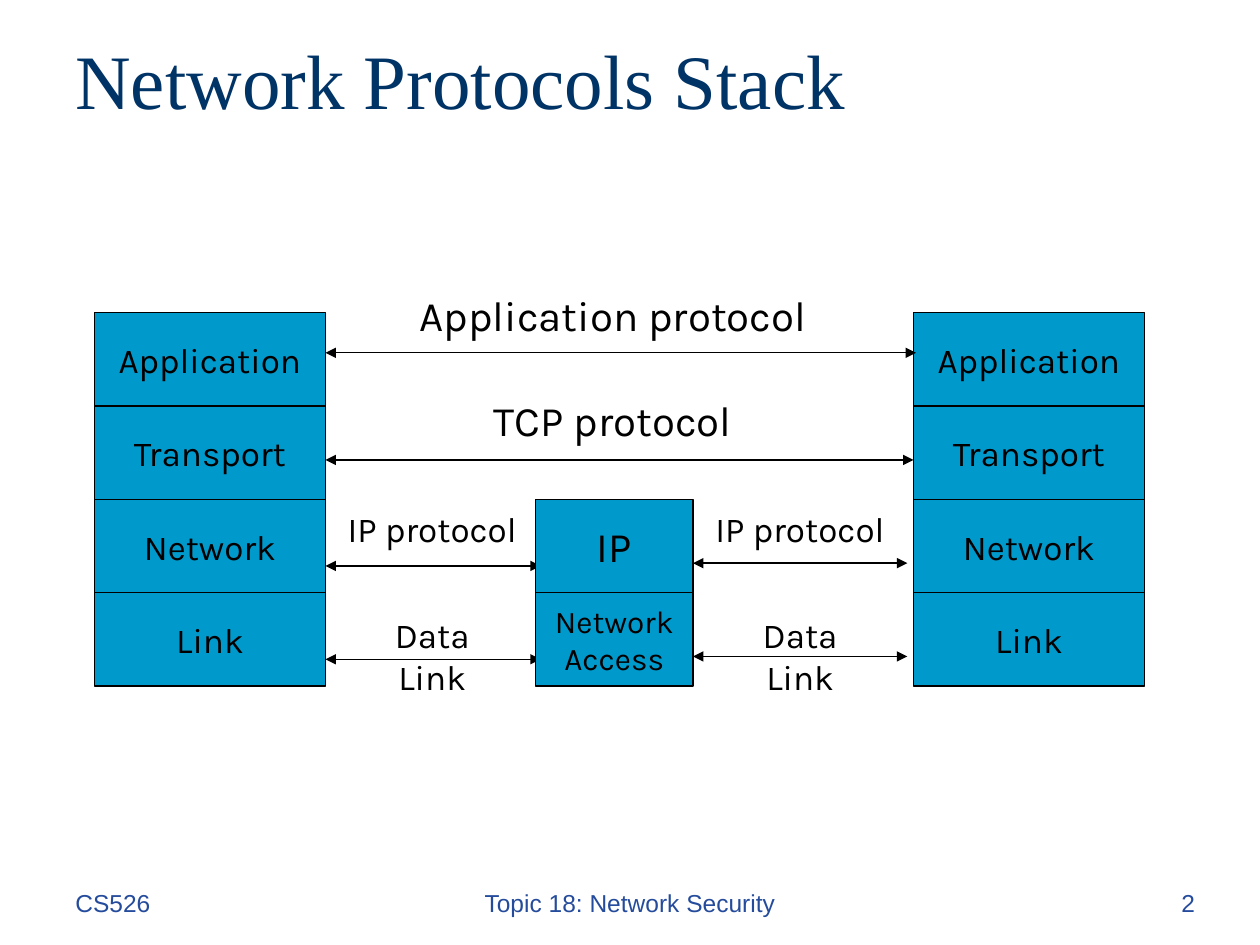
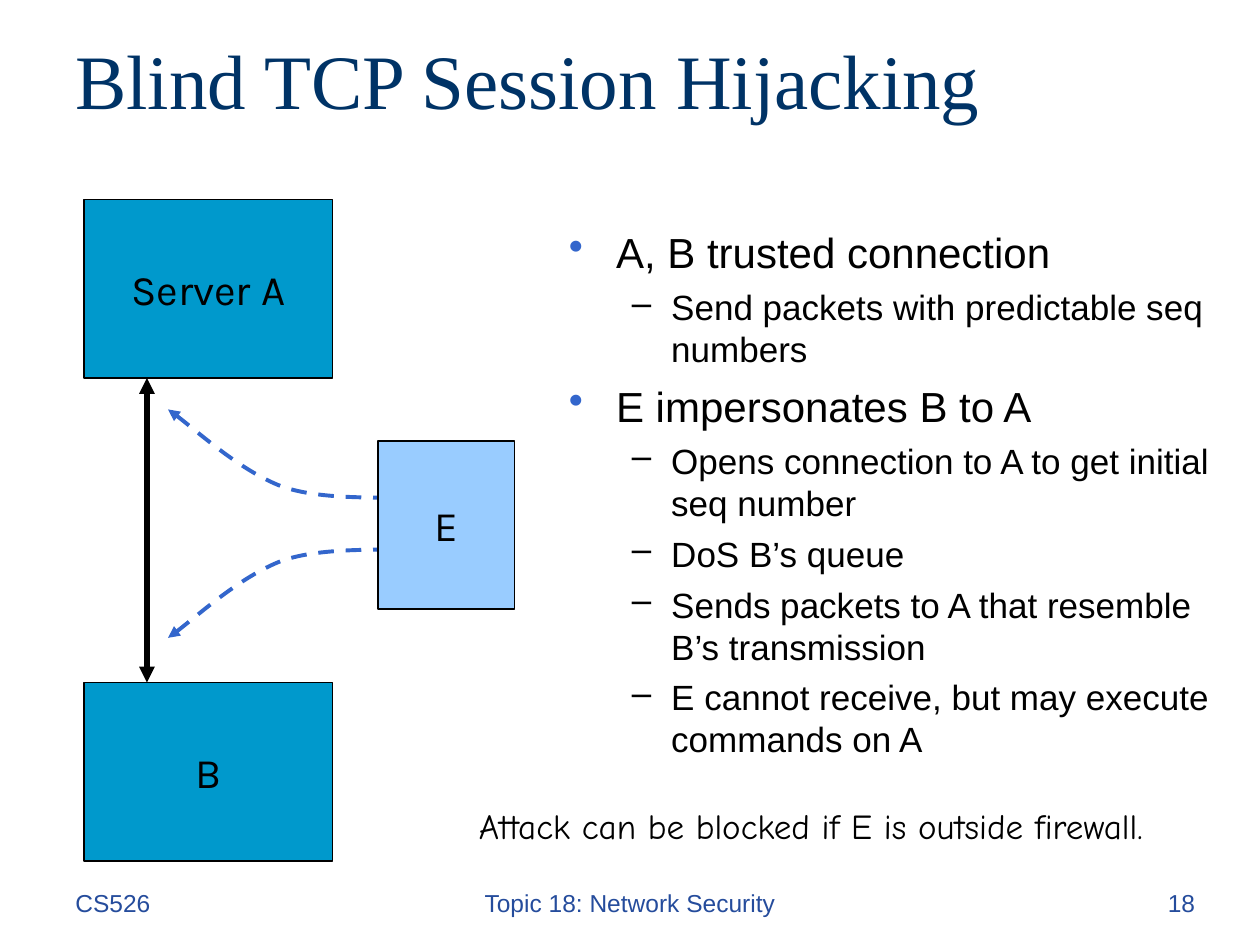
"""Build two lecture slides on network protocols and TCP session hijacking."""
from dataclasses import dataclass

from pptx import Presentation
from pptx.dml.color import RGBColor as Color
from pptx.enum.dml import MSO_LINE as Dash
from pptx.enum.shapes import MSO_CONNECTOR as Connector, MSO_SHAPE as Shape
from pptx.enum.text import MSO_ANCHOR as Anchor, PP_ALIGN as Align
from pptx.oxml.ns import qn
from pptx.oxml.xmlchemy import OxmlElement as Element
from pptx.util import Pt


@dataclass(frozen=True)
class Theme:
    black: str = "000000"
    title: str = "003366"
    footer: str = "254C9C"
    accent: str = "3366CC"
    block: str = "0099CC"
    intruder: str = "99CCFF"
    title_font: str = "Times New Roman"
    body_font: str = "Arial"
    label_font: str = "Karla"
    remark_font: str = "Comic Neue"
    title_size: float = 44
    large: float = 24
    medium: float = 20
    small: float = 18
    footer_size: float = 14
    thin: float = 0.75
    dashed: float = 2.25
    thick: float = 3


THEME = Theme()
LAYERS = ["Application", "Transport", "Network", "Link"]
STACK_TOP, LAYER_HEIGHT = 178.67, 53.33
STACK_WIDTH, ROUTER_WIDTH = 132, 90
LEFT_STACK, ROUTER, RIGHT_STACK = 54, 306, 522
BULLETS = {
    0: ("•", THEME.accent, 27, -27, THEME.large),
    1: ("–", THEME.black, 58.5, -22.5, THEME.medium),
}
OUTLINE = [
    (0, "A, B trusted connection"),
    (1, "Send packets with predictable seq numbers"),
    (0, "E impersonates B to A"),
    (1, "Opens connection to A to get initial seq number"),
    (1, "DoS B’s queue"),
    (1, "Sends packets to A that resemble B’s transmission"),
    (1, "E cannot receive, but may execute commands on A"),
]


def write(para, text, *, size=THEME.medium, font=THEME.label_font,
          color=THEME.black, align=Align.CENTER, before=None):
    span = para.add_run()
    span.text = text
    span.font.size = Pt(size)
    span.font.name = font
    span.font.color.rgb = Color.from_string(color)
    para.alignment = align
    para.space_before = Pt(size / 4 if before is None else before)


def add_text(page, text, left, top, width, height, *, wrap=True,
             anchor=Anchor.TOP, **style):
    box = page.shapes.add_textbox(Pt(left), Pt(top), Pt(width), Pt(height))
    box.text_frame.word_wrap = wrap
    box.text_frame.vertical_anchor = anchor
    write(box.text_frame.paragraphs[0], text, **style)


def add_block(page, text, left, top, width, height, *, fill=THEME.block,
              wrap=False, **style):
    block = page.shapes.add_shape(
        Shape.RECTANGLE, Pt(left), Pt(top), Pt(width), Pt(height))
    block.shadow.inherit = False
    block.fill.solid()
    block.fill.fore_color.rgb = Color.from_string(fill)
    set_line(block.line, THEME.black, THEME.thin)
    block.text_frame.word_wrap = wrap
    block.text_frame.vertical_anchor = Anchor.MIDDLE
    write(block.text_frame.paragraphs[0], text, **style)


def set_line(line, color, width, ends=()):
    line.color.rgb = Color.from_string(color)
    line.width = Pt(width)
    for end in ends:
        arrowhead = Element(f"a:{end}")
        arrowhead.set("type", "triangle")
        line._get_or_add_ln().append(arrowhead)


def add_double_arrow(page, start, finish, width=THEME.thin):
    arrow = page.shapes.add_connector(
        Connector.STRAIGHT, *map(Pt, start), *map(Pt, finish))
    set_line(arrow.line, THEME.black, width, ("headEnd", "tailEnd"))
    arrow._element.spPr.append(Element("a:effectLst"))


def add_dashed_curve(page, points):
    """Draw a chain of cubic curves, given a start and three points for each."""
    start, *rest = [(Pt(x), Pt(y)) for x, y in points]
    builder = page.shapes.build_freeform(*start)
    builder.add_line_segments(rest, close=False)
    curve = builder.convert_to_shape()
    outline = next(curve._element.iter(qn("a:path")))
    segments = outline.findall(qn("a:lnTo"))
    for first in range(0, len(segments), 3):
        cubic = Element("a:cubicBezTo")
        for segment in segments[first:first + 3]:
            cubic.append(segment[0])
            outline.remove(segment)
        outline.append(cubic)
    curve.shadow.inherit = False
    curve.fill.background()
    curve.line.dash_style = Dash.DASH
    set_line(curve.line, THEME.accent, THEME.dashed, ("headEnd",))


def add_outline(page, items, left, top, width, height):
    frame = page.shapes.add_textbox(
        Pt(left), Pt(top), Pt(width), Pt(height)).text_frame
    frame.word_wrap = True
    for index, (level, text) in enumerate(items):
        para = frame.add_paragraph() if index else frame.paragraphs[0]
        mark, color, margin, indent, size = BULLETS[level]
        para.level = level
        write(para, text, size=size, font=THEME.body_font, align=Align.LEFT)
        props = para._p.get_or_add_pPr()
        props.set("marL", str(Pt(margin)))
        props.set("indent", str(Pt(indent)))
        bullet_color, value, bullet = map(
            Element, ("a:buClr", "a:srgbClr", "a:buChar"))
        value.set("val", color)
        bullet_color.append(value)
        bullet.set("char", mark)
        props.extend([bullet_color, bullet])


def add_page(deck, title, number):
    page = deck.slides.add_slide(deck.slide_layouts[6])
    footers = [
        ("CS526", 36, 150, Align.LEFT),
        ("Topic 18: Network Security", 246, 228, Align.CENTER),
        (str(number), 540, 150, Align.RIGHT),
    ]
    for text, left, width, align in footers:
        add_text(page, text, left, 504, width, 36, size=THEME.footer_size,
                 font=THEME.body_font, color=THEME.footer, align=align,
                 before=8.8)
    add_text(page, title, 36, 0, 648, 90, anchor=Anchor.MIDDLE, before=0,
             size=THEME.title_size, font=THEME.title_font, color=THEME.title,
             align=Align.LEFT)
    return page


def layer_top(row):
    return STACK_TOP + row * LAYER_HEIGHT


def add_hop(page, start, finish, label_center, network_y):
    """Draw the network and link exchanges between a host and the router."""
    for y in (network_y, network_y + LAYER_HEIGHT):
        add_double_arrow(page, (start, y), (finish, y))
    add_text(page, "IP protocol", label_center - 58.5, 286.5, 117, 32, wrap=False)
    add_text(page, "Data Link", label_center - 30, 347, 60, 55.5)


def build_stack_page(deck):
    page = add_page(deck, "Network Protocols Stack", 2)
    for left in (LEFT_STACK, RIGHT_STACK):
        for row, layer in enumerate(LAYERS):
            add_block(page, layer, left, layer_top(row), STACK_WIDTH, LAYER_HEIGHT)
    stack_edge = LEFT_STACK + STACK_WIDTH
    protocols = [
        ("Application protocol", 162, 201.6, 523.4),
        ("TCP protocol", 222, 262.8, RIGHT_STACK),
    ]
    for text, top, y, finish in protocols:
        add_double_arrow(page, (stack_edge, y), (finish, y))
        add_text(page, text, 230, top, 240.5, 36, wrap=False, size=THEME.large)
    add_hop(page, stack_edge, 309, 247, 323.4)
    add_hop(page, ROUTER + ROUTER_WIDTH, 518.5, 457.2, 321.8)
    add_block(page, "IP", ROUTER, layer_top(2), ROUTER_WIDTH, LAYER_HEIGHT,
              size=THEME.large)
    add_block(page, "Network Access", ROUTER, layer_top(3), ROUTER_WIDTH,
              LAYER_HEIGHT, size=THEME.small, wrap=True)


def build_hijacking_page(deck):
    page = add_page(deck, "Blind TCP Session Hijacking", 18)
    add_outline(page, OUTLINE, 318, 126, 385.5, 351)
    for name, top in (("Server A", 114), ("B", 390)):
        add_block(page, name, 48, top, 142, 102, size=THEME.large, before=15)
    add_double_arrow(page, (84, 216), (84, 390), THEME.thick)
    to_server = [(96, 234), (106.5, 241), (137.5, 269), (161, 278),
                 (185, 286.5), (222.5, 283.5), (238, 285)]
    mirror_sum = 598.5
    add_dashed_curve(page, to_server)
    add_dashed_curve(page, [(x, mirror_sum - y) for x, y in to_server])
    add_block(page, "E", 216, 252, 78, 96, fill=THEME.intruder,
              size=THEME.large, before=15)
    add_text(page, "Attack can be blocked if E is outside firewall.",
             265.5, 456, 396, 31.5, wrap=False, anchor=Anchor.MIDDLE,
             font=THEME.remark_font, before=12.5)


def main():
    deck = Presentation()
    deck.slide_width, deck.slide_height = Pt(720), Pt(540)
    build_stack_page(deck)
    build_hijacking_page(deck)
    deck.save("out.pptx")


if __name__ == "__main__":
    main()
